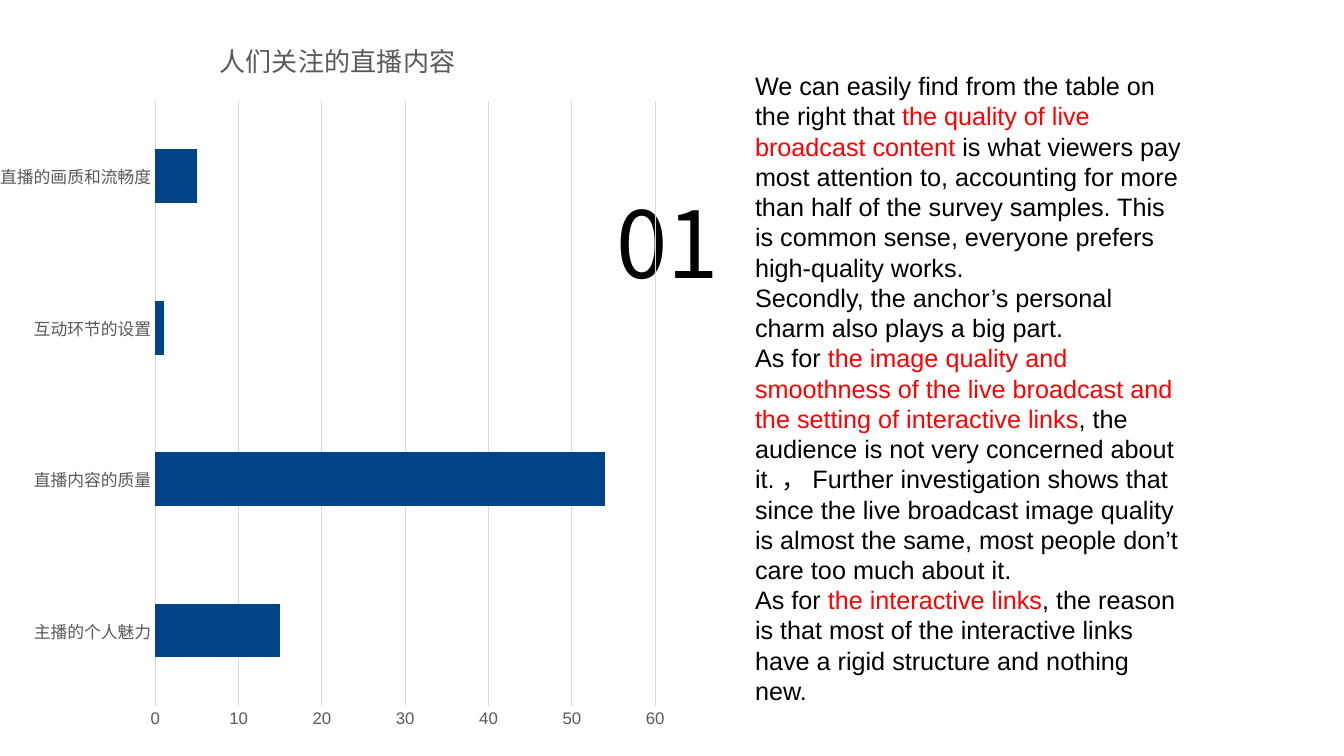
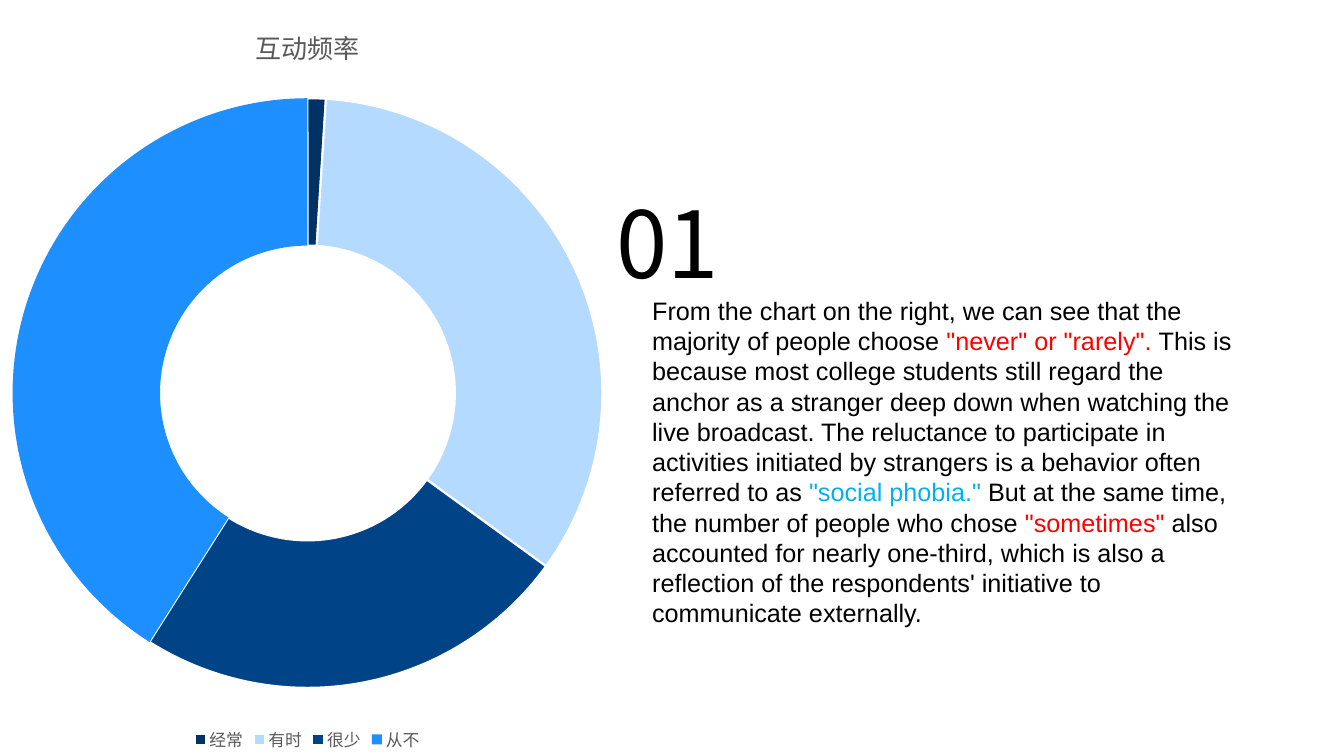
from lxml.etree import SubElement
from pptx import Presentation
from pptx.chart.data import CategoryChartData
from pptx.dml.color import RGBColor
from pptx.enum.chart import XL_CHART_TYPE as ChartType
from pptx.enum.chart import XL_LEGEND_POSITION as LegendPosition
from pptx.enum.chart import XL_TICK_MARK as TickMark
from pptx.enum.text import MSO_ANCHOR as Anchor
from pptx.enum.text import PP_ALIGN as Align
from pptx.oxml.ns import qn
from pptx.util import Inches, Pt

BLACK = RGBColor(0x00, 0x00, 0x00)
WHITE = RGBColor(0xFF, 0xFF, 0xFF)
RED = RGBColor(0xFF, 0x00, 0x00)
CYAN = RGBColor(0x00, 0xB0, 0xF0)
GREY = RGBColor(0x59, 0x59, 0x59)
LIGHT_GREY = RGBColor(0xD9, 0xD9, 0xD9)
NAVY = RGBColor(0x00, 0x33, 0x65)
DEEP_BLUE = RGBColor(0x00, 0x44, 0x87)
PALE_BLUE = RGBColor(0xB4, 0xDA, 0xFF)
BRIGHT_BLUE = RGBColor(0x1E, 0x8F, 0xFF)

FONT = "Arial"
NUMBER_FONT = "Noto Sans CJK SC"
NUMBER_BOX = (5.82, 1.74, 1.6, 1.32)

CONTENT_TEXT = [
    [
        ("We can easily find from the table on the right that ", BLACK),
        ("the quality of live broadcast content ", RED),
        ("is what viewers pay most attention to, accounting for more than half "
         "of the survey samples. This is common sense, everyone prefers "
         "high-quality works.", BLACK),
    ],
    [("Secondly, the anchor’s personal charm also plays a big part.", BLACK)],
    [
        ("As for ", BLACK),
        ("the image quality and smoothness of the live broadcast and the "
         "setting of interactive links", RED),
        (", the audience is not very concerned about it. ， Further "
         "investigation shows that since the live broadcast image quality is "
         "almost the same, most people don’t care too much about it.", BLACK),
    ],
    [
        ("As for ", BLACK),
        ("the interactive links", RED),
        (", the reason is that most of the interactive links have a rigid "
         "structure and nothing new.", BLACK),
    ],
]

FREQUENCY_TEXT = [
    [
        ("From the chart on the right, we can see that the majority of people "
         "choose ", BLACK),
        ('"never" or "rarely". ', RED),
        ("This is because most college students still regard the anchor as a "
         "stranger deep down when watching the live broadcast. The reluctance "
         "to participate in activities initiated by strangers is a behavior "
         "often referred to as ", BLACK),
        ('"social phobia." ', CYAN),
        ("But at the same time, the number of people who chose ", BLACK),
        ('"sometimes"', RED),
        (" also accounted for nearly one-third, which is also a reflection of "
         "the respondents' initiative to communicate externally.", BLACK),
    ],
]


def format_font(font, size, color, name=FONT):
    font.name = name
    font.size = Pt(size)
    font.bold = False
    font.color.rgb = color


def add_text(paragraph, text, size=18, color=BLACK, name=FONT):
    run = paragraph.add_run()
    run.text = text
    format_font(run.font, size, color, name)


def add_number(slide, text, box):
    title = slide.shapes.title
    title.left, title.top, title.width, title.height = map(Inches, box)
    frame = title.text_frame
    frame.margin_left = frame.margin_right = 0
    frame.margin_top = frame.margin_bottom = 0
    frame.vertical_anchor = Anchor.MIDDLE
    paragraph = frame.paragraphs[0]
    paragraph.alignment = Align.CENTER
    add_text(paragraph, text, size=66, name=NUMBER_FONT)


def add_commentary(slide, paragraphs, box):
    frame = slide.shapes.add_textbox(*map(Inches, box)).text_frame
    frame.word_wrap = True
    for index, runs in enumerate(paragraphs):
        paragraph = frame.add_paragraph() if index else frame.paragraphs[0]
        paragraph.line_spacing = Pt(21.6)
        for text, color in runs:
            add_text(paragraph, text, color=color)


def place_plot(chart, x, y, width, height):
    plot_area = chart.element.find(".//" + qn("c:plotArea"))
    for layout in plot_area.findall(qn("c:layout")):
        plot_area.remove(layout)
    layout = SubElement(plot_area, qn("c:layout"))
    plot_area.insert(0, layout)
    manual = SubElement(layout, qn("c:manualLayout"))
    settings = {"layoutTarget": "inner", "xMode": "edge", "yMode": "edge",
                "x": x, "y": y, "w": width, "h": height}
    for tag, value in settings.items():
        SubElement(manual, qn(f"c:{tag}")).set("val", str(value))


def add_chart(slide, chart_type, title, series_name, values, box, plot_box):
    data = CategoryChartData()
    data.categories = list(values)
    data.add_series(series_name, list(values.values()))
    chart = slide.shapes.add_chart(chart_type, *map(Inches, box), data).chart
    format_font(chart.font, 10, BLACK)
    chart.has_legend = False
    chart.has_title = True
    chart.chart_title.include_in_layout = False
    add_text(chart.chart_title.text_frame.paragraphs[0], title,
             size=18.6, color=GREY)
    place_plot(chart, *plot_box)
    return chart


def style_axis(axis):
    axis.major_tick_mark = axis.minor_tick_mark = TickMark.NONE
    format_font(axis.tick_labels.font, 12, GREY)


def style_line(line, color, width=0.75):
    line.color.rgb = color
    line.width = Pt(width)


def add_bar_chart(slide, title, values, box):
    chart = add_chart(slide, ChartType.BAR_CLUSTERED, title, "Series 1",
                      values, box, (0.23, 0.12, 0.74, 0.83))
    plot = chart.plots[0]
    plot.gap_width = 182
    plot.vary_by_categories = False
    fill = plot.series[0].format.fill
    fill.solid()
    fill.fore_color.rgb = DEEP_BLUE
    style_axis(chart.category_axis)
    style_line(chart.category_axis.format.line, LIGHT_GREY)
    value_axis = chart.value_axis
    style_axis(value_axis)
    value_axis.format.line.fill.background()
    value_axis.minimum_scale, value_axis.maximum_scale = 0, 60
    value_axis.major_unit = 10
    style_line(value_axis.major_gridlines.format.line, LIGHT_GREY)


def add_doughnut_chart(slide, title, values, colors, box):
    chart = add_chart(slide, ChartType.DOUGHNUT, title, title,
                      values, box, (0.02, 0.13, 0.96, 0.78))
    chart.element.find(".//" + qn("c:holeSize")).set("val", "75")
    chart.has_legend = True
    chart.legend.position = LegendPosition.BOTTOM
    chart.legend.include_in_layout = False
    format_font(chart.legend.font, 12, GREY)
    plot = chart.plots[0]
    plot.vary_by_categories = True
    for index, color in enumerate(colors):
        point_format = plot.series[0].points[index].format
        point_format.fill.solid()
        point_format.fill.fore_color.rgb = color
        if index < len(colors) - 1:
            style_line(point_format.line, WHITE, width=1.5)
        else:
            point_format.line.fill.background()


def add_numbered_slide(presentation):
    slide = presentation.slides.add_slide(presentation.slide_layouts[5])
    add_number(slide, "01", NUMBER_BOX)
    return slide


def build_content_slide(presentation):
    slide = add_numbered_slide(presentation)
    values = {"主播的个人魅力": 15, "直播内容的质量": 54,
              "互动环节的设置": 1, "直播的画质和流畅度": 5}
    add_bar_chart(slide, "人们关注的直播内容", values, (0, 0.13, 6.7, 7.24))
    add_commentary(slide, CONTENT_TEXT, (7.39, 0.65, 4.46, 6.16))


def build_frequency_slide(presentation):
    slide = add_numbered_slide(presentation)
    values = {"经常": 1, "有时": 34, "很少": 24, "从不": 41}
    colors = (NAVY, PALE_BLUE, DEEP_BLUE, BRIGHT_BLUE)
    add_doughnut_chart(slide, "互动频率", values, colors, (0, 0, 6.1, 7.5))
    add_commentary(slide, FREQUENCY_TEXT, (6.37, 2.88, 5.96, 3.43))


def main():
    presentation = Presentation()
    presentation.slide_width = Inches(13.33)
    presentation.slide_height = Inches(7.5)
    build_content_slide(presentation)
    build_frequency_slide(presentation)
    presentation.save("out.pptx")


if __name__ == "__main__":
    main()
